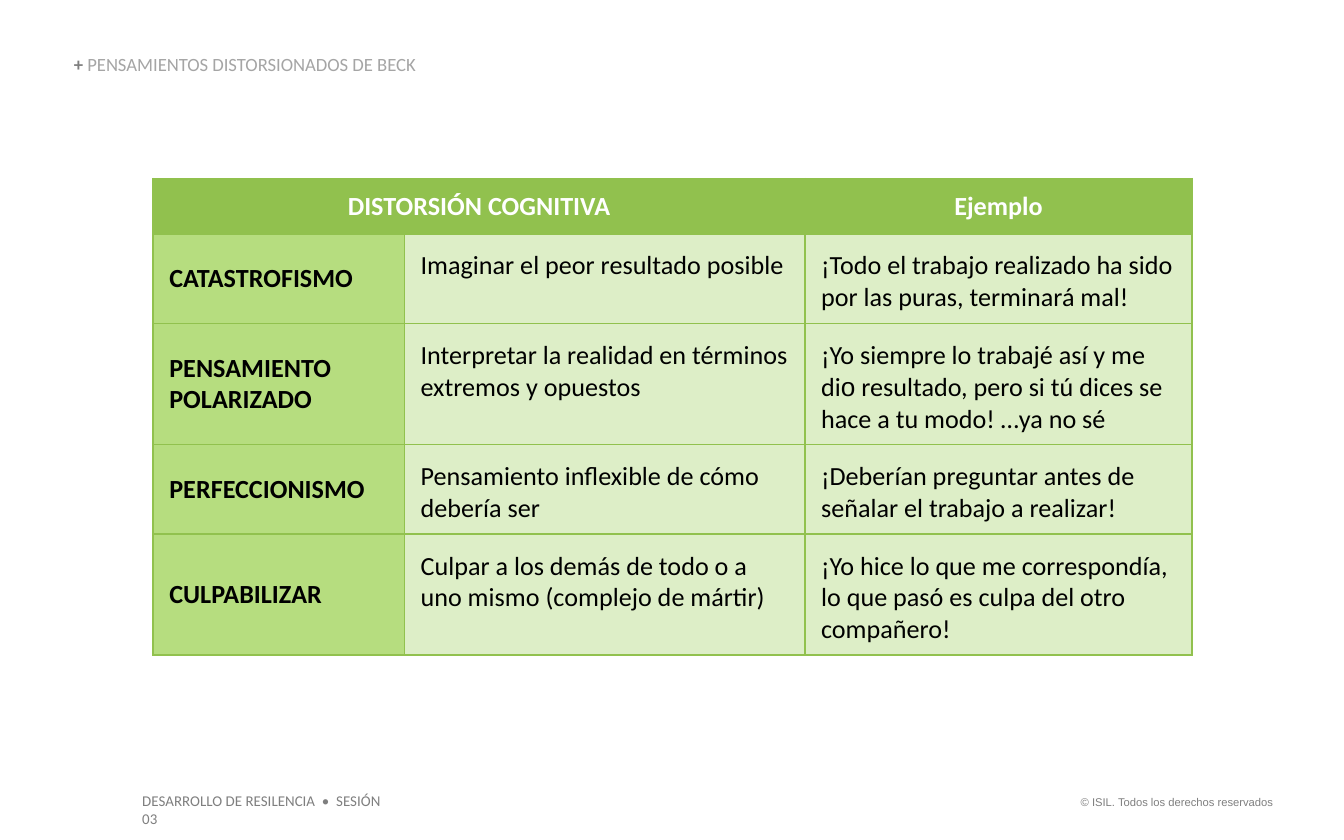
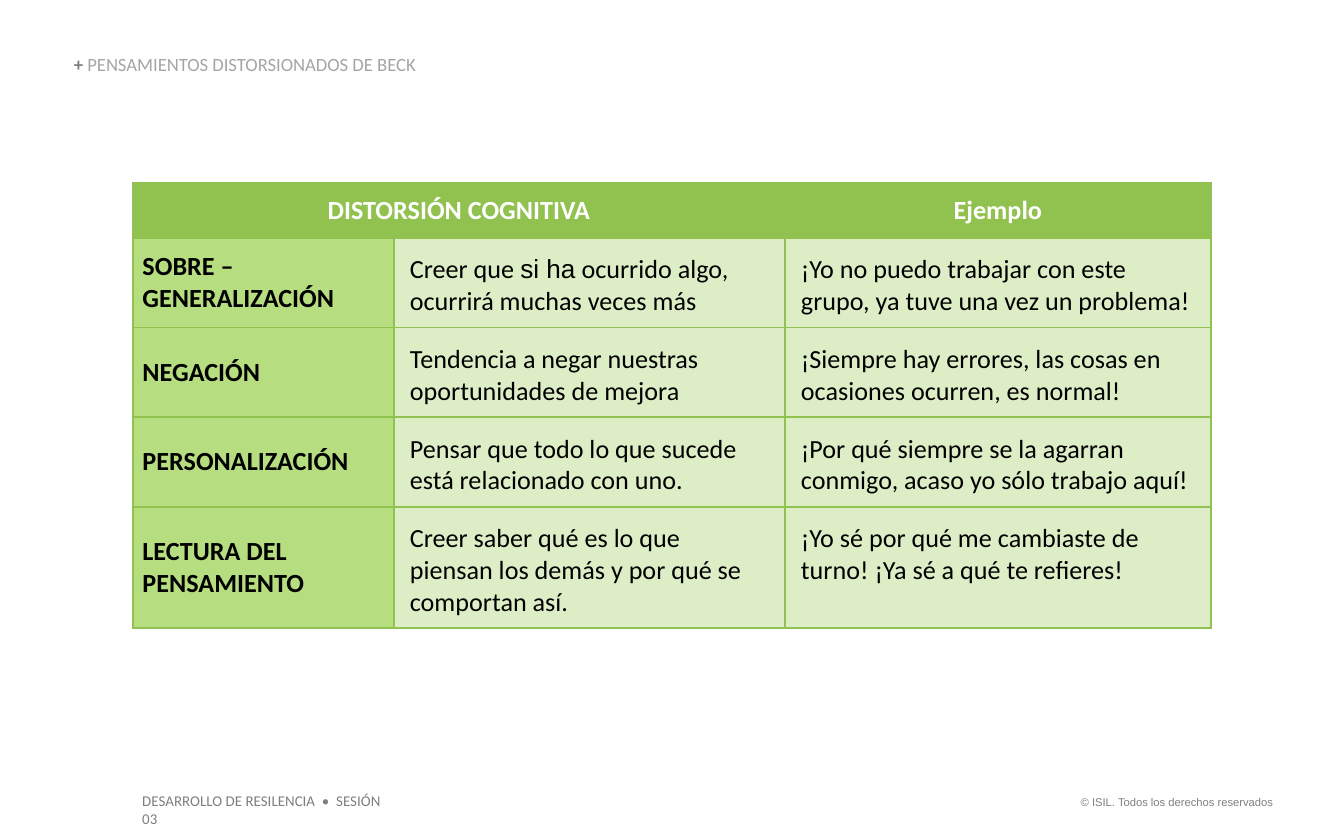
from collections import namedtuple
from itertools import cycle

from lxml import etree
from pptx import Presentation
from pptx.dml.color import RGBColor
from pptx.enum.text import MSO_ANCHOR, MSO_AUTO_SIZE, PP_ALIGN
from pptx.oxml.ns import qn
from pptx.util import Emu, Pt

LEFT, CENTER, RIGHT = PP_ALIGN.LEFT, PP_ALIGN.CENTER, PP_ALIGN.RIGHT
TOP, MIDDLE, BOTTOM = MSO_ANCHOR.TOP, MSO_ANCHOR.MIDDLE, MSO_ANCHOR.BOTTOM
GROW = MSO_AUTO_SIZE.SHAPE_TO_FIT_TEXT

# Scale: 100 px to the inch
PX = 9144
WIDTH, HEIGHT = 1000, 625

# Colours
WHITE = RGBColor(0xFF, 0xFF, 0xFF)
BLACK = RGBColor(0x00, 0x00, 0x00)
GREY = RGBColor(0x7F, 0x7F, 0x7F)
LIGHT_GREY = RGBColor(0xA5, 0xA5, 0xA5)
GREEN = RGBColor(0x91, 0xC1, 0x4E)
LABEL_GREEN = RGBColor(0xB6, 0xDD, 0x7F)
PALE_GREEN = RGBColor(0xDD, 0xEE, 0xC7)

# Text styles
Style = namedtuple("Style", "size color bold font", defaults=(False, "Calibri"))
COPYRIGHT = Style(6, GREY, font="Arial")
FOOTER = Style(8, GREY)
TITLE_MARK = Style(10, GREY, True)
TITLE = Style(10, LIGHT_GREY)
HEADER = Style(14, WHITE, True)
LABEL = Style(14, BLACK, True)
BODY = Style(14, BLACK)
BODY_ARIAL = Style(14, BLACK, font="Arial")

# Margins: left, top, right, bottom
NO_MARGINS = (0, 0, 0, 0)
BOX_MARGINS = (10, 5, 10, 5)
SIDE_MARGINS = (12, 0, 12, 0)
BODY_MARGINS = (12, 12, 12, 8)
SMALL_MARGINS = (7, 4, 7, 4)

ROW_HEIGHT = 41
HEADINGS = ("DISTORSIÓN COGNITIVA", "", "Ejemplo")

# Table rows: label, meaning, example; "|" switches between the body fonts
FIRST_DISTORTIONS = [
    ("CATASTROFISMO", "Imaginar el peor resultado posible",
     "¡Todo el trabajo realizado ha sido por las puras, terminará mal!"),
    ("PENSAMIENTO POLARIZADO", "Interpretar la realidad en términos extremos y opuestos",
     "¡Yo siempre lo trabajé así y me di|o| resultado, pero si tú dices se hace a tu modo! …ya no sé"),
    ("PERFECCIONISMO", "Pensamiento inflexible de cómo debería ser",
     "¡Deberían preguntar antes de señalar el trabajo a realizar!"),
    ("CULPABILIZAR", "Culpar a los demás de todo o a uno mismo (complejo de mártir)",
     "¡Yo hice lo que me correspondía, lo que pasó es culpa del otro compañero!"),
]
SECOND_DISTORTIONS = [
    ("SOBRE –\nGENERALIZACIÓN", "Creer que |si ha| ocurrido algo, ocurrirá muchas veces más",
     "¡Yo no puedo trabajar con este grupo, ya tuve una vez un problema!"),
    ("NEGACIÓN", "Tendencia a negar nuestras oportunidades de mejora",
     "¡Siempre hay errores, las cosas en ocasiones ocurren, es normal!"),
    ("PERSONALIZACIÓN", "Pensar que todo lo que sucede está relacionado con uno.",
     "¡Por qué siempre se la agarran conmigo, acaso yo sólo trabajo aquí!"),
    ("LECTURA DEL PENSAMIENTO",
     "Creer saber qué es lo que piensan los demás y por qué se comportan así.",
     "¡Yo sé por qué me cambiaste de turno! ¡Ya sé a qué te refieres!"),
]


class Deck:
    def __init__(self):
        self.presentation = Presentation()
        self.presentation.slide_width = Emu(WIDTH * PX)
        self.presentation.slide_height = Emu(HEIGHT * PX)
        self.slide = None

    def add_slide(self):
        """Start a slide with the shared footer and title."""
        self.slide = self.presentation.slides.add_slide(self.presentation.slide_layouts[6])
        self.text_box((788, 587, 169, 20), "© ISIL. Todos los derechos reservados",
                      [COPYRIGHT], align=RIGHT)
        self.text_box((96, 584, 211, 24), "DESARROLLO DE RESILENCIA  •  SESIÓN 03", [FOOTER])
        title = self.text_box((55, 41, 457, 15), "+ |PENSAMIENTOS DISTORSIONADOS DE BECK",
                              [TITLE_MARK, TITLE], NO_MARGINS, BOTTOM)
        title.paragraphs[0].line_spacing = 0.9

    def fill_text(self, text_frame, text, styles, align):
        """Fill the frame; the parts between "|" take the styles in turn."""
        text_frame.text = text.replace("|", "")
        for paragraph, line in zip(text_frame.paragraphs, text.split("\n")):
            paragraph.clear()
            paragraph.alignment = align
            for part, style in zip(line.split("|"), cycle(styles)):
                run = paragraph.add_run()
                run.text = part
                run.font.size = Pt(style.size)
                run.font.name = style.font
                run.font.bold = style.bold
                run.font.color.rgb = style.color

    def set_margins(self, holder, margins):
        left, top, right, bottom = (Emu(margin * PX) for margin in margins)
        holder.margin_left, holder.margin_top = left, top
        holder.margin_right, holder.margin_bottom = right, bottom

    def text_box(self, box, text, styles, margins=BOX_MARGINS, anchor=TOP, align=LEFT):
        shape = self.slide.shapes.add_textbox(*(Emu(length * PX) for length in box))
        text_frame = shape.text_frame
        text_frame.word_wrap = True
        text_frame.auto_size = GROW
        text_frame.vertical_anchor = anchor
        self.set_margins(text_frame, margins)
        self.fill_text(text_frame, text, styles, align)
        return text_frame

    def cell(self, cell, text, styles, fill, margins, anchor=MIDDLE, align=LEFT):
        properties = cell._tc.get_or_add_tcPr()
        for side in ("a:lnL", "a:lnR", "a:lnT", "a:lnB"):
            line = etree.SubElement(properties, qn(side), w=str(Pt(1)))
            solid = etree.SubElement(line, qn("a:solidFill"))
            etree.SubElement(solid, qn("a:srgbClr"), val=str(GREEN))
        cell.fill.solid()
        cell.fill.fore_color.rgb = fill
        cell.vertical_anchor = anchor
        self.set_margins(cell, margins)
        if text:
            self.fill_text(cell.text_frame, text, styles, align)

    def table(self, left, top, widths, rows, label_margins):
        row_count = len(rows) + 1
        table = self.slide.shapes.add_table(
            row_count, len(widths), Emu(left * PX), Emu(top * PX),
            Emu(sum(widths) * PX), Emu(row_count * ROW_HEIGHT * PX)).table
        table.horz_banding = False
        for column, width in zip(table.columns, widths):
            column.width = Emu(width * PX)
        for row in table.rows:
            row.height = Emu(ROW_HEIGHT * PX)

        # Header row
        for column, heading in enumerate(HEADINGS):
            self.cell(table.cell(0, column), heading, [HEADER], GREEN, SIDE_MARGINS, align=CENTER)
        table.cell(0, 0).merge(table.cell(0, 1))

        # One row for each distortion
        for index, (label, *details) in enumerate(rows, 1):
            self.cell(table.cell(index, 0), label, [LABEL], LABEL_GREEN, label_margins)
            for column, detail in enumerate(details, 1):
                self.cell(table.cell(index, column), detail, [BODY, BODY_ARIAL],
                          PALE_GREEN, BODY_MARGINS, TOP)


def main():
    deck = Deck()

    # Slide 1
    deck.add_slide()
    deck.table(114, 133, (187, 298, 288), FIRST_DISTORTIONS, SIDE_MARGINS)

    # Slide 2
    deck.add_slide()
    deck.table(99, 136, (194, 291, 317), SECOND_DISTORTIONS, SMALL_MARGINS)

    deck.presentation.save("out.pptx")


if __name__ == "__main__":
    main()
